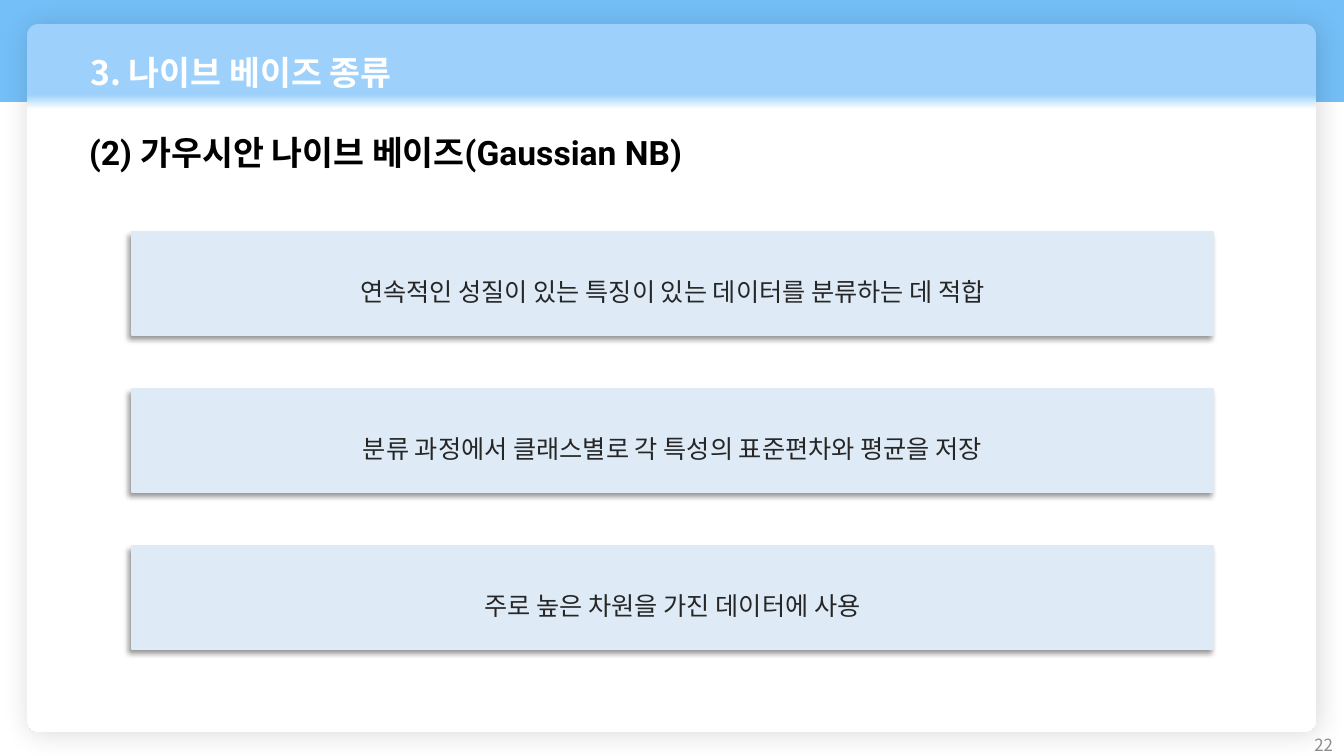
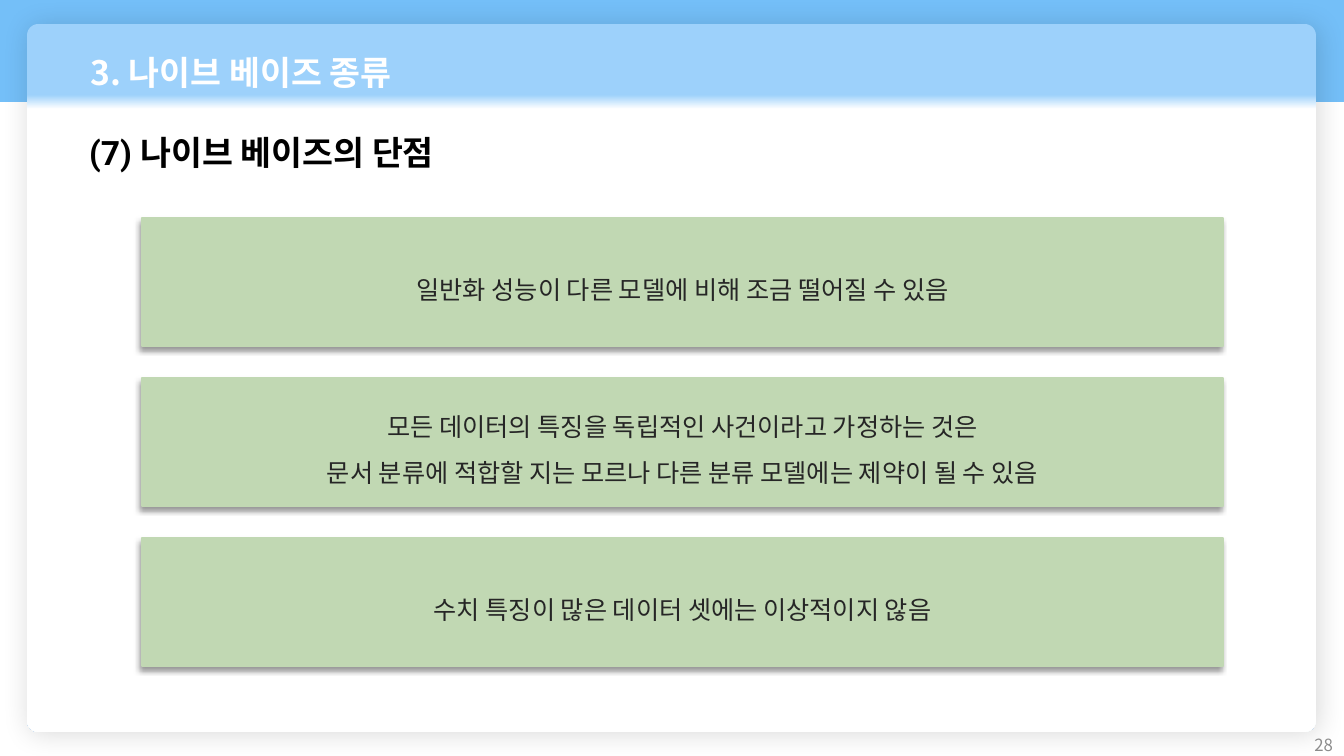
import lxml.etree
import pptx
import pptx.dml.color
import pptx.enum.shapes
import pptx.enum.text
import pptx.oxml.ns
import pptx.util

RGBColor = pptx.dml.color.RGBColor
SHAPE = pptx.enum.shapes.MSO_SHAPE
ALIGN = pptx.enum.text.PP_ALIGN
ANCHOR = pptx.enum.text.MSO_ANCHOR
qn = pptx.oxml.ns.qn

BAND_BLUE = RGBColor(0x74, 0xBF, 0xF8)
PANEL_BLUE = RGBColor(0x9D, 0xD1, 0xFB)
WHITE = RGBColor(0xFF, 0xFF, 0xFF)
BLACK = RGBColor(0x00, 0x00, 0x00)
TEXT_GRAY = RGBColor(0x26, 0x26, 0x26)
NUMBER_GRAY = RGBColor(0x8C, 0x8C, 0x8C)
CARD_BLUE = RGBColor(0xDE, 0xEB, 0xF7)
CARD_GREEN = RGBColor(0xC1, 0xD8, 0xB3)

KOREAN_FONT = "Noto Sans CJK KR"
LATIN_FONT = "Roboto"
CHAPTER = "3. 나이브 베이즈 종류"
PX = 914400 / 100.8

SLIDES = [
    {
        "title": "(2) 가우시안 나이브 베이즈(Gaussian NB)",
        "number": "22",
        "color": CARD_BLUE,
        "left": 132, "top": 232, "height": 103, "pitch": 157,
        "cards": [
            "연속적인 성질이 있는 특징이 있는 데이터를 분류하는 데 적합",
            "분류 과정에서 클래스별로 각 특성의 표준편차와 평균을 저장",
            "주로 높은 차원을 가진 데이터에 사용",
        ],
    },
    {
        "title": "(7) 나이브 베이즈의 단점",
        "number": "28",
        "color": CARD_GREEN,
        "left": 142, "top": 218, "height": 128, "pitch": 160,
        "cards": [
            "일반화 성능이 다른 모델에 비해 조금 떨어질 수 있음",
            "모든 데이터의 특징을 독립적인 사건이라고 가정하는 것은\n"
            "문서 분류에 적합할 지는 모르나 다른 분류 모델에는 제약이 될 수 있음",
            "수치 특징이 많은 데이터 셋에는 이상적이지 않음",
        ],
    },
]


def write(shape, text, size, color, font, align, anchor, bold=False, spacing=1.0):
    frame = shape.text_frame
    frame.text = text
    frame.word_wrap = True
    frame.vertical_anchor = anchor
    for paragraph in frame.paragraphs:
        paragraph.alignment = align
        paragraph.line_spacing = spacing
        paragraph.font.size = pptx.util.Pt(size)
        paragraph.font.bold = bold
        paragraph.font.color.rgb = color
        paragraph.font.name = font
        properties = paragraph._p.get_or_add_pPr().get_or_add_defRPr()
        lxml.etree.SubElement(properties, qn("a:ea"), typeface=KOREAN_FONT)


def add_shadow(shape, opacity, blur, distance, angle):
    shape.shadow.inherit = False
    effects = shape.element.spPr.find(qn("a:effectLst"))
    shadow = lxml.etree.SubElement(
        effects, qn("a:outerShdw"),
        blurRad=str(pptx.util.Pt(blur)), dist=str(pptx.util.Pt(distance)),
        dir=str(angle * 60000), algn="ctr", rotWithShape="0")
    color = lxml.etree.SubElement(shadow, qn("a:srgbClr"), val=str(BLACK))
    lxml.etree.SubElement(color, qn("a:alpha"), val=str(opacity * 1000))


presentation = pptx.Presentation()
presentation.slide_width = round(1344 * PX)
presentation.slide_height = round(756 * PX)

for content in SLIDES:
    slide = presentation.slides.add_slide(presentation.slide_layouts[5])
    shapes = slide.shapes

    band = shapes.add_shape(SHAPE.RECTANGLE, 0, 0, presentation.slide_width, round(102 * PX))
    band.shadow.inherit = False
    band.fill.solid()
    band.fill.fore_color.rgb = BAND_BLUE
    band.line.fill.background()

    panel = shapes.add_shape(
        SHAPE.ROUNDED_RECTANGLE, *[round(length * PX) for length in (27, 24, 1289, 708)])
    panel.adjustments[0] = 0.016
    panel.fill.gradient()
    panel.fill.gradient_angle = 270
    for stop, position, color in zip(
            panel.fill.gradient_stops, (0.10, 0.12), (PANEL_BLUE, WHITE)):
        stop.position = position
        stop.color.rgb = color
    panel.line.fill.background()
    add_shadow(panel, opacity=14, blur=20, distance=3, angle=45)
    write(panel, CHAPTER, 24, WHITE, KOREAN_FONT, ALIGN.LEFT, ANCHOR.TOP, True, 1.5)
    panel.text_frame.paragraphs[0].level = 1

    title = shapes.title
    title.left, title.top, title.width, title.height = [
        round(length * PX) for length in (79, 127, 786, 50)]
    write(title, content["title"], 24, BLACK, LATIN_FONT, ALIGN.LEFT, ANCHOR.TOP, True)
    title.text_frame.auto_size = pptx.enum.text.MSO_AUTO_SIZE.NONE
    shapes.element.append(title.element)

    number = shapes.add_textbox(*[round(length * PX) for length in (1041, 725, 302, 40)])
    write(number, content["number"], 12, NUMBER_GRAY, KOREAN_FONT, ALIGN.RIGHT, ANCHOR.MIDDLE)

    for index, text in enumerate(content["cards"]):
        top = content["top"] + index * content["pitch"]
        card = shapes.add_shape(
            SHAPE.RECTANGLE,
            *[round(length * PX) for length in (content["left"], top, 1081, content["height"])])
        card.fill.solid()
        card.fill.fore_color.rgb = content["color"]
        card.line.color.rgb = content["color"]
        card.line.width = pptx.util.Pt(1)
        add_shadow(card, opacity=40, blur=4, distance=3, angle=135)
        write(card, text, 18, TEXT_GRAY, LATIN_FONT, ALIGN.CENTER, ANCHOR.MIDDLE, spacing=1.5)

presentation.save("out.pptx")
